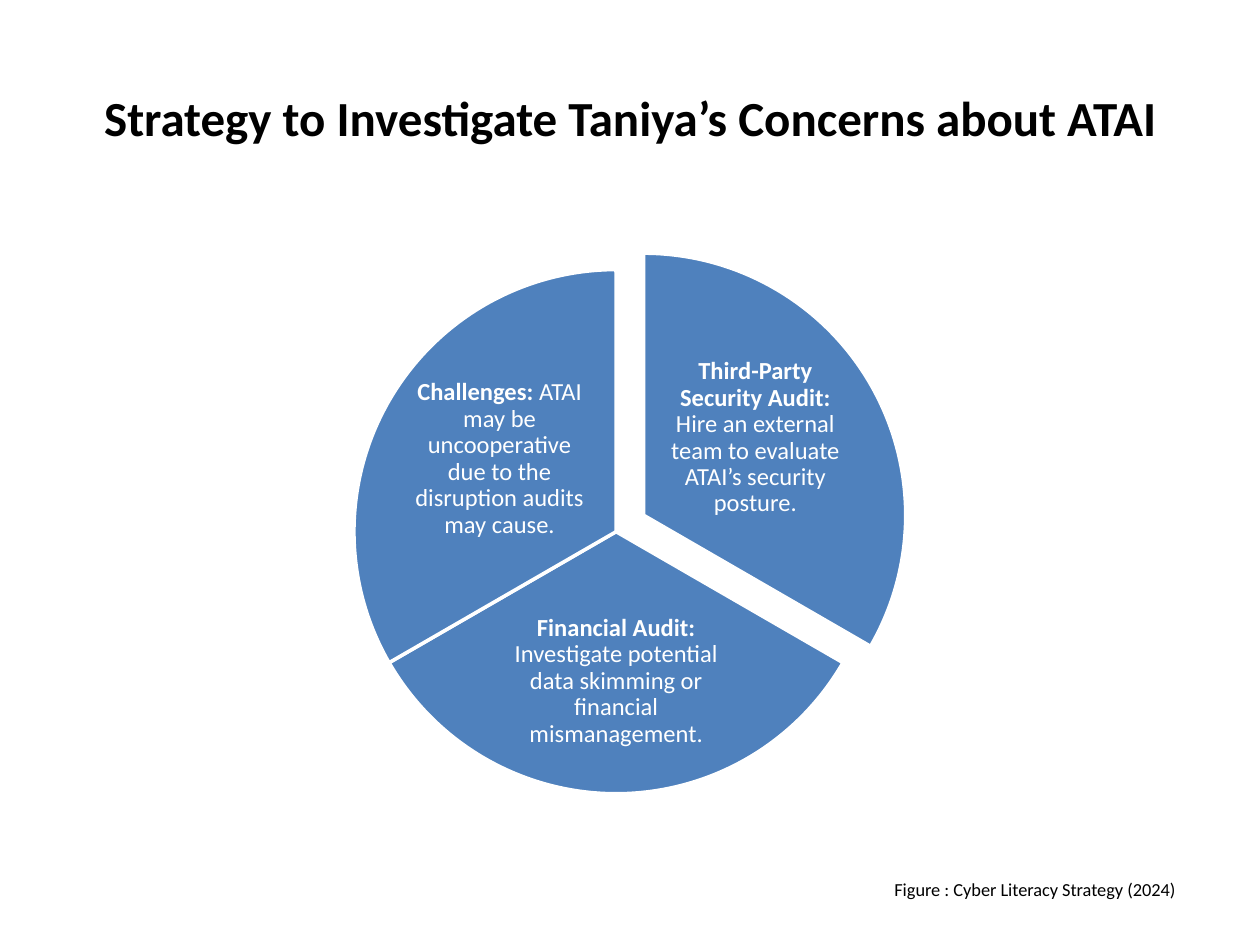
from pptx import Presentation
from pptx.dml.color import RGBColor
from pptx.enum.shapes import MSO_SHAPE
from pptx.enum.text import MSO_ANCHOR, PP_ALIGN
from pptx.util import Pt

BLUE = RGBColor(0x4F, 0x81, 0xBD)
WHITE = RGBColor(0xFF, 0xFF, 0xFF)
BLACK = RGBColor(0, 0, 0)
FONT = "Calibri"
SIZE = 299.5
TURN = 0.6

SLICES = [
    (15.8, 0, 270, (178.6, 55.5, 101.5, 100), "Third-Party Security Audit:",
     " Hire an external team to evaluate ATAI’s security posture."),
    (0, 9.4, 30, (82.1, 198, 135.4, 93), "Financial Audit:",
     " Investigate potential data skimming or financial mismanagement."),
    (0, 9.4, 150, (32.4, 67.7, 101.5, 100), "Challenges:",
     " ATAI may be uncooperative due to the disruption audits may cause."),
]


def style(para, size, color):
    font = para.font
    font.name, font.size, font.color.rgb = FONT, Pt(size), color


def add_title(slide, box, text):
    title = slide.shapes.title
    title.left, title.top, title.width, title.height = map(Pt, box)
    frame = title.text_frame
    frame.text = text
    frame.vertical_anchor = MSO_ANCHOR.MIDDLE
    para = frame.paragraphs[0]
    para.alignment = PP_ALIGN.CENTER
    style(para, 28, BLACK)
    para.font.bold = True


def add_slice(slide, left, top, start):
    pie = slide.shapes.add_shape(MSO_SHAPE.PIE, Pt(left), Pt(top), Pt(SIZE), Pt(SIZE))
    pie.adjustments[0] = start * TURN
    pie.adjustments[1] = (start + 120) % 360 * TURN
    pie.shadow.inherit = False
    pie.fill.solid()
    pie.fill.fore_color.rgb = BLUE
    pie.line.color.rgb = WHITE
    pie.line.width = Pt(2)


def add_label(slide, box, head, body):
    frame = slide.shapes.add_textbox(*map(Pt, box)).text_frame
    frame.word_wrap = True
    frame.vertical_anchor = MSO_ANCHOR.MIDDLE
    frame.margin_left = frame.margin_right = Pt(1.4)
    frame.margin_top = frame.margin_bottom = Pt(1.4)
    para = frame.paragraphs[0]
    para.alignment = PP_ALIGN.CENTER
    para.line_spacing = 0.9
    style(para, 14, WHITE)
    for text, bold in ((head, True), (body, False)):
        run = para.add_run()
        run.text = text
        run.font.bold = bold


def add_wheel(slide, left, top):
    for dx, dy, start, (x, y, wide, high), head, body in SLICES:
        add_slice(slide, left + dx, top + dy, start)
        add_label(slide, (left + x, top + y, wide, high), head, body)


def add_source(slide, box, text):
    frame = slide.shapes.add_textbox(*map(Pt, box)).text_frame
    frame.word_wrap = True
    frame.text = text
    style(frame.paragraphs[0], 10.5, BLACK)


def main():
    deck = Presentation()
    deck.slide_width, deck.slide_height = Pt(720), Pt(540)
    slide = deck.slides.add_slide(deck.slide_layouts[5])
    add_title(slide, (36, 21.6, 648, 90),
              "Strategy to Investigate Taniya’s Concerns about ATAI")
    add_wheel(slide, 202.3, 144.7)
    add_source(slide, (504, 498.2, 216, 20), "Figure : Cyber Literacy Strategy (2024)")
    deck.save("out.pptx")


if __name__ == "__main__":
    main()
